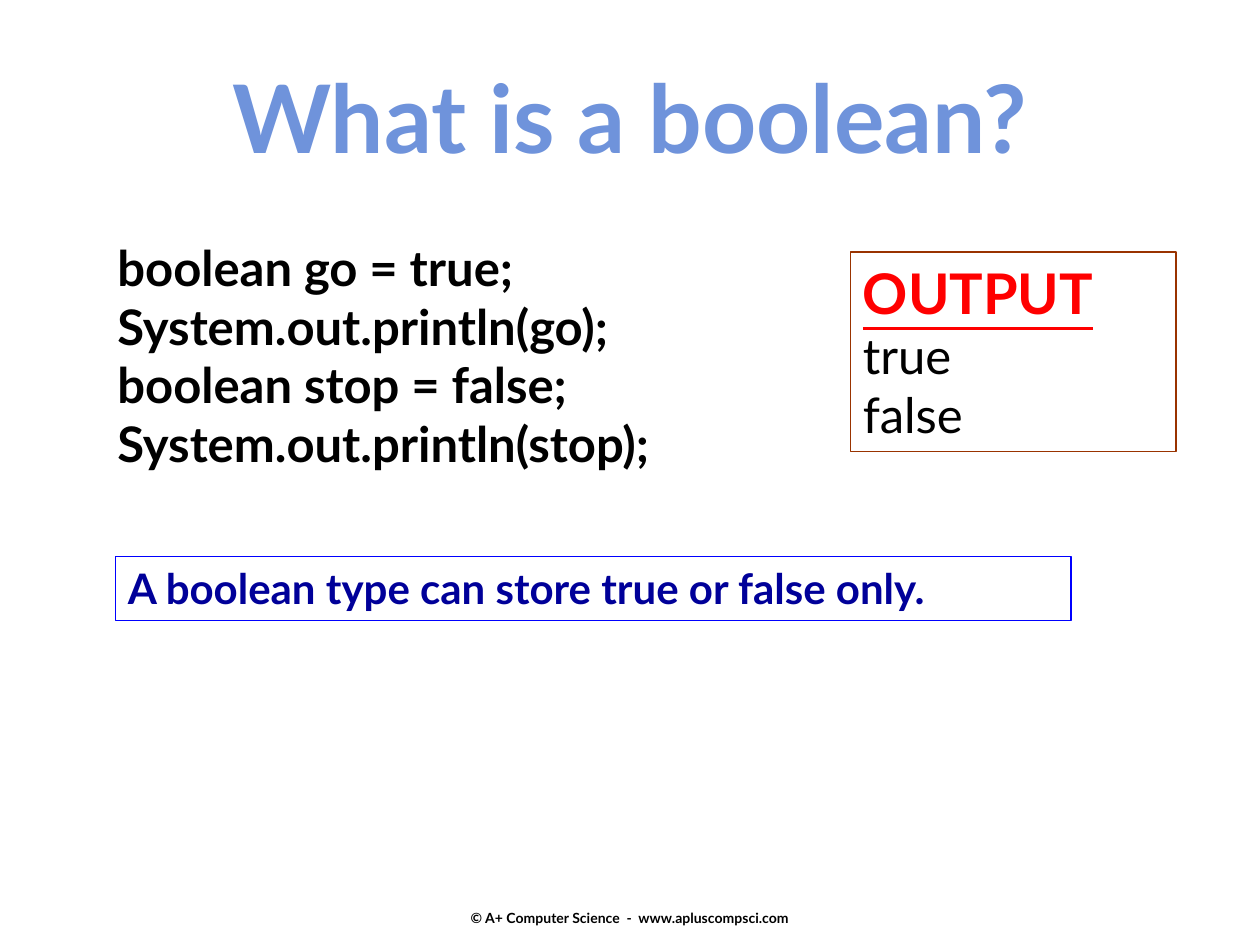
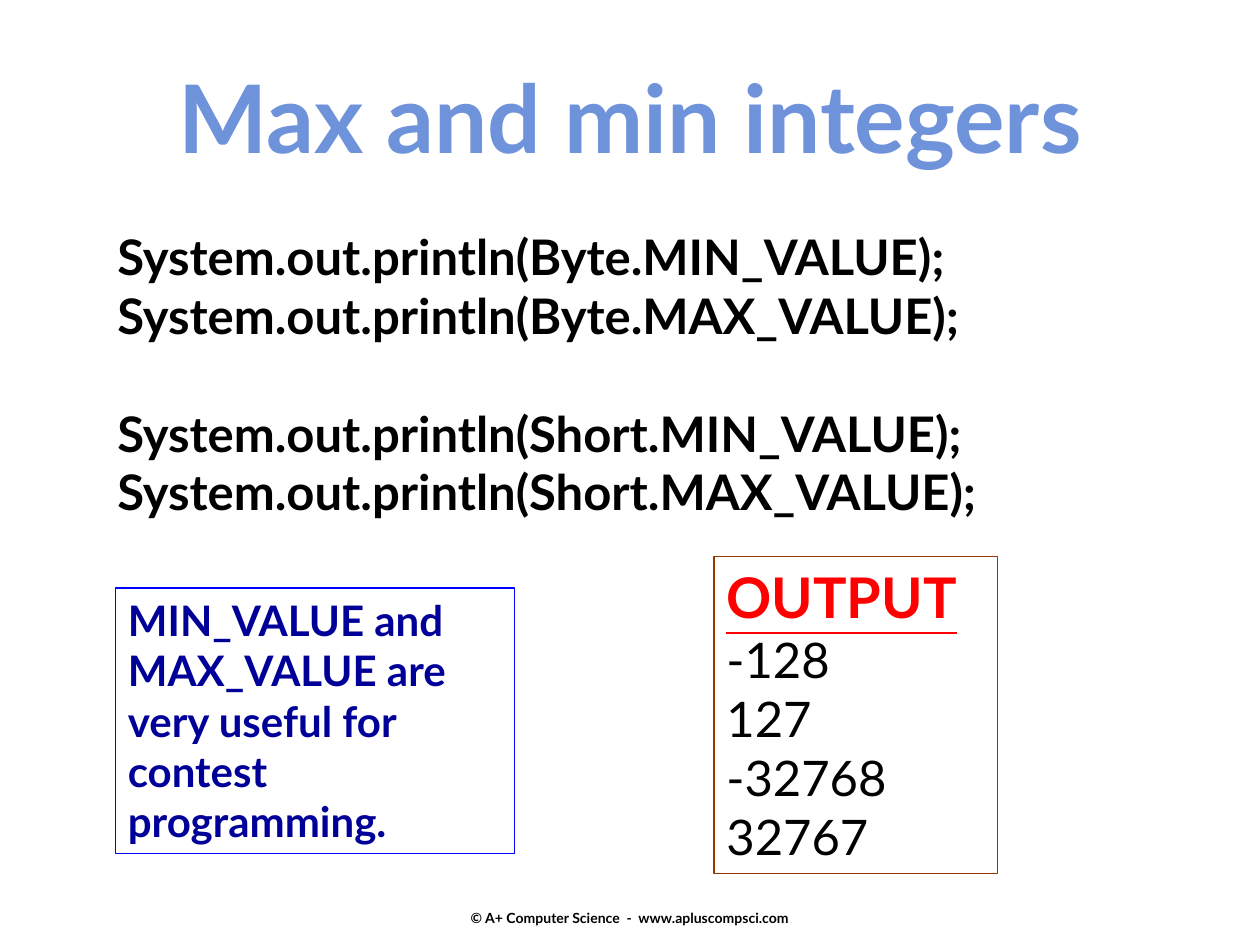
from pptx import Presentation
from pptx.dml.color import RGBColor
from pptx.enum.shapes import MSO_SHAPE
from pptx.enum.text import MSO_ANCHOR, MSO_AUTO_SIZE, PP_ALIGN
from pptx.util import Inches, Pt

RECTANGLE = MSO_SHAPE.RECTANGLE
TOP, BOTTOM = MSO_ANCHOR.TOP, MSO_ANCHOR.BOTTOM
GROW = MSO_AUTO_SIZE.SHAPE_TO_FIT_TEXT
LEFT, CENTER = PP_ALIGN.LEFT, PP_ALIGN.CENTER

BLACK = RGBColor(0x00, 0x00, 0x00)
TITLE_BLUE = RGBColor(0x6F, 0x93, 0xDB)
NOTE_TEXT = RGBColor(0x00, 0x00, 0x99)
NOTE_LINE = RGBColor(0x00, 0x00, 0xFF)
OUTPUT_RED = RGBColor(0xFF, 0x00, 0x00)
OUTPUT_LINE = RGBColor(0x99, 0x33, 0x00)

FONT = "Lato"
COLUMNS, ROWS = 120, 90
SLIDE_WIDTH, SLIDE_HEIGHT = Inches(10), Inches(7.5)
CODE_SIZE = 28
LINE_SPACING = 1.2

TITLE_BOX = (0, 5, 120, 12.1)
FOOTER_BOX = (41, 82, 38, 6.2)


def grid(box):
    """Turn a box in columns and rows into slide lengths."""
    left, top, width, height = box
    return (int(left * SLIDE_WIDTH / COLUMNS), int(top * SLIDE_HEIGHT / ROWS),
            int(width * SLIDE_WIDTH / COLUMNS), int(height * SLIDE_HEIGHT / ROWS))


def style(paragraph, size, color, bold=True, align=LEFT):
    """Format one paragraph and its runs."""
    paragraph.alignment = align
    for run in paragraph.runs:
        run.font.name = FONT
        run.font.size = Pt(size)
        run.font.bold = bold
        run.font.color.rgb = color


def fill_text(holder, lines, size, color, bold=True, align=LEFT):
    """Write lines into a wrapping, growing text frame and return it."""
    frame = holder.text_frame
    frame.word_wrap = True
    frame.auto_size = GROW
    frame.vertical_anchor = TOP
    frame.text = "\n".join(lines)
    for paragraph in frame.paragraphs:
        style(paragraph, size, color, bold, align)
    return frame


def add_outlined_box(slide, box, line_color):
    """Add an unfilled rectangle with a thin outline."""
    outlined = slide.shapes.add_shape(RECTANGLE, *grid(box))
    outlined.shadow.inherit = False
    outlined.fill.background()
    outlined.line.color.rgb = line_color
    outlined.line.width = Pt(1)
    return outlined


def add_title(slide, title):
    """Add the large centred heading."""
    fill_text(slide.shapes.add_textbox(*grid(TITLE_BOX)), [title], 54, TITLE_BLUE, align=CENTER)


def add_footer(slide):
    """Add the copyright line at the foot of the slide."""
    footer = slide.shapes.add_textbox(*grid(FOOTER_BOX))
    frame = fill_text(footer, ["© A+ Computer Science  -  www.apluscompsci.com"],
                      8, BLACK, align=CENTER)
    frame.auto_size = MSO_AUTO_SIZE.NONE
    frame.vertical_anchor = BOTTOM
    frame.margin_bottom = 0


def add_code(slide, box, groups):
    """Add groups of statements, set apart by the height of one line."""
    statements = [statement for group in groups for statement in group]
    frame = fill_text(slide.shapes.add_textbox(*grid(box)), statements, CODE_SIZE, BLACK)
    start = 0
    for group in groups[:-1]:
        start += len(group)
        frame.paragraphs[start].space_before = Pt(CODE_SIZE * LINE_SPACING)


def add_note(slide, box, note):
    """Add the blue boxed remark."""
    fill_text(add_outlined_box(slide, box, NOTE_LINE), [note], 24, NOTE_TEXT)


def add_output(slide, box, values):
    """Add the boxed program output under its underlined heading."""
    output = add_outlined_box(slide, box, OUTPUT_LINE)
    frame = fill_text(output, ["OUTPUT", *values], CODE_SIZE, BLACK, bold=False)
    heading = frame.paragraphs[0]
    style(heading, 32, OUTPUT_RED)
    heading.runs[0].font.underline = True


def add_lesson(deck, title, code, note, output):
    """Add one slide with code, a note and the program output."""
    slide = deck.slides.add_slide(deck.slide_layouts[6])
    add_footer(slide)
    add_code(slide, *code)
    add_note(slide, *note)
    add_output(slide, *output)
    add_title(slide, title)


def main():
    """Build and save the deck."""
    deck = Presentation()
    deck.slide_width, deck.slide_height = SLIDE_WIDTH, SLIDE_HEIGHT
    add_lesson(
        deck, "What is a boolean?",
        code=((10, 22, 62, 23.6), [["boolean go = true;", "System.out.println(go);",
                                    "boolean stop = false;", "System.out.println(stop);"]]),
        note=((11, 53, 91, 6.1), "A boolean type can store true or false only."),
        output=((81, 24, 31, 19), ["true", "false"]))
    add_lesson(
        deck, "Max and min integers",
        code=((10, 21, 95, 29.3), [[f"System.out.println({kind}.{limit}_VALUE);"
                                    for limit in ("MIN", "MAX")]
                                   for kind in ("Byte", "Short")]),
        note=((11, 56, 38, 25.3),
              "MIN_VALUE and MAX_VALUE are very useful for contest programming."),
        output=((68, 53, 27, 30.2), ["-128", "127", "-32768", "32767"]))
    deck.save("out.pptx")


if __name__ == "__main__":
    main()
